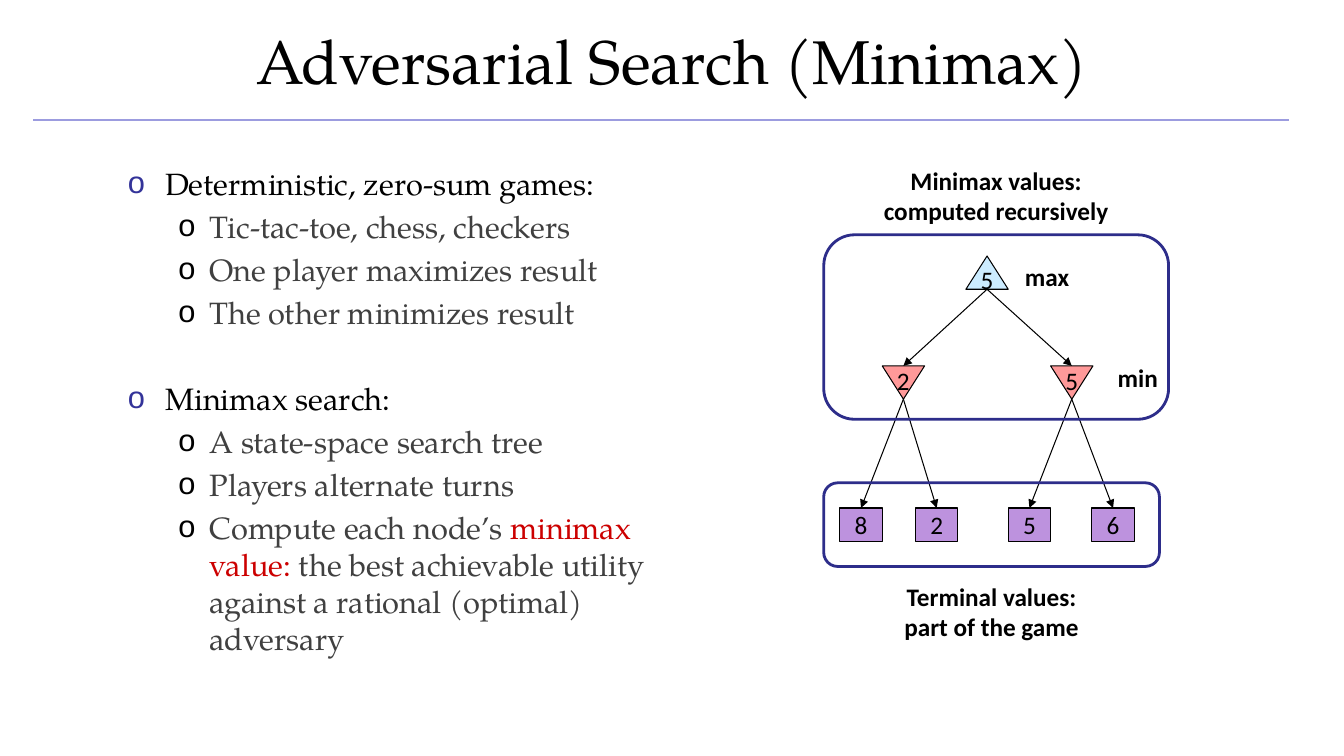
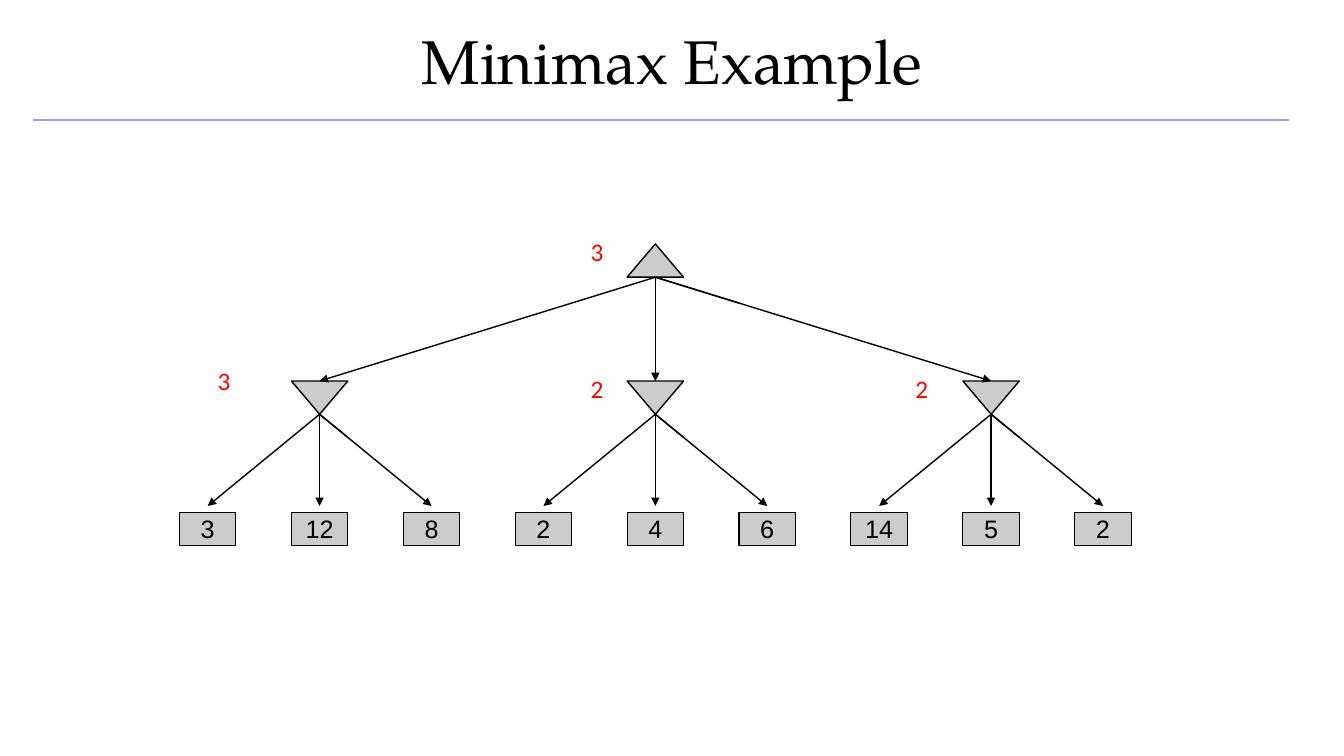
from lxml.etree import SubElement
from pptx import Presentation
from pptx.dml.color import RGBColor
from pptx.enum.shapes import MSO_CONNECTOR, MSO_SHAPE
from pptx.enum.text import MSO_ANCHOR, PP_ALIGN
from pptx.oxml.ns import qn
from pptx.util import Inches, Pt

# Shared look
SERIF, SANS, LEAF_FONT = "TeX Gyre Pagella", "Calibri", "Arial"
BLACK, GREY, RED, KEYWORD = "000000", "404040", "FF0000", "CC0000"
NAVY, BULLET_BLUE, RULE_BLUE = "2D2D8A", "333399", "9C9CDF"
MAX_FILL, MIN_FILL, LEAF_FILL, PLAIN_FILL = "CCECFF", "FF9999", "BD92DE", "CCCCCC"
NODE_HEIGHT = 0.33

# Outline: level, then (text, colour) runs; a new topic starts after a gap
OUTLINE = [
    (0, [("Deterministic, zero-sum games:", BLACK)]),
    (1, [("Tic-tac-toe, chess, checkers", GREY)]),
    (1, [("One player maximizes result", GREY)]),
    (1, [("The other minimizes result", GREY)]),
    (0, [("Minimax search:", BLACK)]),
    (1, [("A state-space search tree", GREY)]),
    (1, [("Players alternate turns", GREY)]),
    (1, [("Compute each node’s ", GREY), ("minimax value: ", KEYWORD),
         ("the best achievable utility against a rational (optimal) adversary", GREY)]),
]
# Per level: left margin, hanging indent, bullet colour
LEVELS = [(0.37, -0.37, BULLET_BLUE), (0.81, -0.31, BLACK)]


def color(hex_value):
    return RGBColor.from_string(hex_value)


def apply_format(target, values):
    for name, value in values.items():
        setattr(target, name, value)


def add_run(paragraph, text, size, font=SANS, ink=BLACK, bold=False):
    run = paragraph.add_run()
    run.text = text
    apply_format(run.font, {"name": font, "size": Pt(size), "bold": bold})
    run.font.color.rgb = color(ink)


def add_label(slide, box, text, size=18, align=PP_ALIGN.CENTER,
              anchor=MSO_ANCHOR.MIDDLE, **font):
    label = slide.shapes.add_textbox(*map(Inches, box))
    apply_format(label.text_frame, {"word_wrap": True, "vertical_anchor": anchor})
    paragraph = label.text_frame.paragraphs[0]
    paragraph.alignment = align
    for number, line in enumerate(text.splitlines()):
        if number:
            paragraph.add_line_break()
        add_run(paragraph, line, size, **font)


def add_line(slide, start, end, ink=BLACK, width=1.0, arrow=False):
    line = slide.shapes.add_connector(
        MSO_CONNECTOR.STRAIGHT, *map(Inches, (*start, *end)))
    line.line.width = Pt(width)
    line.line.color.rgb = color(ink)
    SubElement(line._element.spPr, qn("a:effectLst"))
    if arrow:
        SubElement(line.line._get_or_add_ln(), qn("a:tailEnd"), type="triangle")
    return line


def add_outlined(slide, kind, box, fill=None, ink=BLACK, width=0.75):
    shape = slide.shapes.add_shape(kind, *map(Inches, box))
    shape.shadow.inherit = False
    if fill:
        shape.fill.solid()
        shape.fill.fore_color.rgb = color(fill)
    else:
        shape.fill.background()
    shape.line.color.rgb = color(ink)
    shape.line.width = Pt(width)
    return shape


def add_player(slide, center, top, width, fill, line_width, is_max=False):
    box = (center - width / 2, top, width, NODE_HEIGHT)
    triangle = add_outlined(slide, MSO_SHAPE.ISOSCELES_TRIANGLE, box, fill,
                            width=line_width)
    triangle.rotation = 0 if is_max else 180


def add_leaf(slide, center, top, width, value, fill, font):
    box = (center - width / 2, top, width, NODE_HEIGHT)
    leaf = add_outlined(slide, MSO_SHAPE.RECTANGLE, box, fill)
    apply_format(leaf.text_frame,
                 {"word_wrap": False, "vertical_anchor": MSO_ANCHOR.MIDDLE})
    paragraph = leaf.text_frame.paragraphs[0]
    paragraph.alignment = PP_ALIGN.CENTER
    add_run(paragraph, str(value), 18, font)
    return leaf


def add_fan(slide, x, top, targets, bottom):
    """Arrows to three children, the middle and right ones thickened at the start."""
    for target in targets:
        add_line(slide, (x, top), (target, bottom), arrow=True)
    add_line(slide, (x, top), (x, top + 0.33))
    add_line(slide, (x, top),
             (x + (targets[-1] - x) / 4, top + (bottom - top) / 4))


def add_outline(slide, box):
    body = slide.shapes.add_textbox(*map(Inches, box)).text_frame
    body.word_wrap = True
    for number, (level, runs) in enumerate(OUTLINE):
        paragraph = body.add_paragraph() if number else body.paragraphs[0]
        new_topic = number and level == 0
        apply_format(paragraph, {"level": level,
                                 "space_before": Pt(35 if new_topic else 4.4)})
        margin, indent, bullet_ink = LEVELS[level]
        properties = paragraph._p.get_or_add_pPr()
        properties.set("marL", str(Inches(margin)))
        properties.set("indent", str(Inches(indent)))
        bullet_color = SubElement(properties, qn("a:buClr"))
        SubElement(bullet_color, qn("a:srgbClr"), val=bullet_ink)
        SubElement(properties, qn("a:buFont"), typeface=LEAF_FONT)
        SubElement(properties, qn("a:buChar"), char="o")
        for text, ink in runs:
            add_run(paragraph, text, 22, SERIF, ink)


def add_titled_slide(deck, title):
    slide = deck.slides.add_slide(deck.slide_layouts[6])
    add_line(slide, (0.33, 1.19), (12.78, 1.19), RULE_BLUE)
    add_label(slide, (0, -0.03, 13.33, 1.25), title, 44, font=SERIF)
    return slide


def build_search_slide(deck):
    slide = add_titled_slide(deck, "Adversarial Search (Minimax)")
    add_outline(slide, (1.17, 1.58, 6, 4.95))

    # Game tree
    root_x, root_top, min_top, leaf_top, width = 9.79, 2.54, 3.63, 5.04, 0.42
    add_player(slide, root_x, root_top, width, MAX_FILL, 0.75, is_max=True)
    numbers = [(root_x, root_top + 0.03, "5")]
    branches = [(8.96, "2", [(8.54, 8), (9.29, 2)]),
                (10.63, "5", [(10.21, 5), (11.04, 6)])]
    for min_x, value, leaves in branches:
        add_player(slide, min_x, min_top, width, MIN_FILL, 0.75)
        add_line(slide, (root_x, root_top + NODE_HEIGHT), (min_x, min_top),
                 width=0.75, arrow=True)
        numbers.append((min_x, min_top - 0.06, value))
        for leaf_x, leaf_value in leaves:
            leaf = add_leaf(slide, leaf_x, leaf_top, width, leaf_value, LEAF_FILL, SANS)
            edge = add_line(slide, (min_x, min_top + NODE_HEIGHT),
                            (leaf_x, leaf_top), width=0.75, arrow=True)
            edge.end_connect(leaf, 0)
    for x, top, value in numbers:
        add_label(slide, (x - 0.17, top, 0.34, 0.4), value)

    # Frames and captions
    for frame in [(8.17, 4.79, 3.33, 0.83), (8.17, 2.33, 3.42, 1.83)]:
        add_outlined(slide, MSO_SHAPE.ROUNDED_RECTANGLE, frame, ink=NAVY, width=2)
    captions = [((10.02, 2.54, 0.73, 0.4), "max"),
                ((10.92, 3.54, 0.73, 0.4), "min"),
                ((8.17, 5.71, 3.33, 0.71), "Terminal values:\npart of the game"),
                ((8.17, 1.58, 3.42, 0.71), "Minimax values:\ncomputed recursively")]
    for box, text in captions:
        add_label(slide, box, text, bold=True)


def build_example_slide(deck):
    slide = add_titled_slide(deck, "Minimax Example")
    root_top, min_top, leaf_top, width = 2.42, 3.78, 5.08, 0.56
    leaf_values = [3, 12, 8, 2, 4, 6, 14, 5, 2]
    leaf_xs = [2.06 + 1.11 * column for column in range(len(leaf_values))]
    min_xs = leaf_xs[1::3]
    root_x = min_xs[1]

    # Nodes
    add_player(slide, root_x, root_top, width, PLAIN_FILL, 1, is_max=True)
    for min_x in min_xs:
        add_player(slide, min_x, min_top, width, PLAIN_FILL, 1)
    for leaf_x, value in zip(leaf_xs, leaf_values):
        add_leaf(slide, leaf_x, leaf_top, width, value, PLAIN_FILL, LEAF_FONT)

    # Moves
    add_fan(slide, root_x, root_top + NODE_HEIGHT, min_xs, min_top)
    for branch, min_x in enumerate(min_xs):
        children = leaf_xs[3 * branch:3 * branch + 3]
        add_fan(slide, min_x, min_top + NODE_HEIGHT, children, leaf_top - 0.06)

    # Minimax values
    for left, top, value in [(2.06, 3.58, "3"), (5.76, 3.65, "2"),
                             (8.98, 3.65, "2"), (5.76, 2.3, "3")]:
        add_label(slide, (left, top, 0.61, 0.4), value, align=PP_ALIGN.LEFT,
                  anchor=MSO_ANCHOR.TOP, ink=RED)


def main():
    deck = Presentation()
    apply_format(deck, {"slide_width": Inches(13.33), "slide_height": Inches(7.5)})
    build_search_slide(deck)
    build_example_slide(deck)
    deck.save("out.pptx")


if __name__ == "__main__":
    main()
